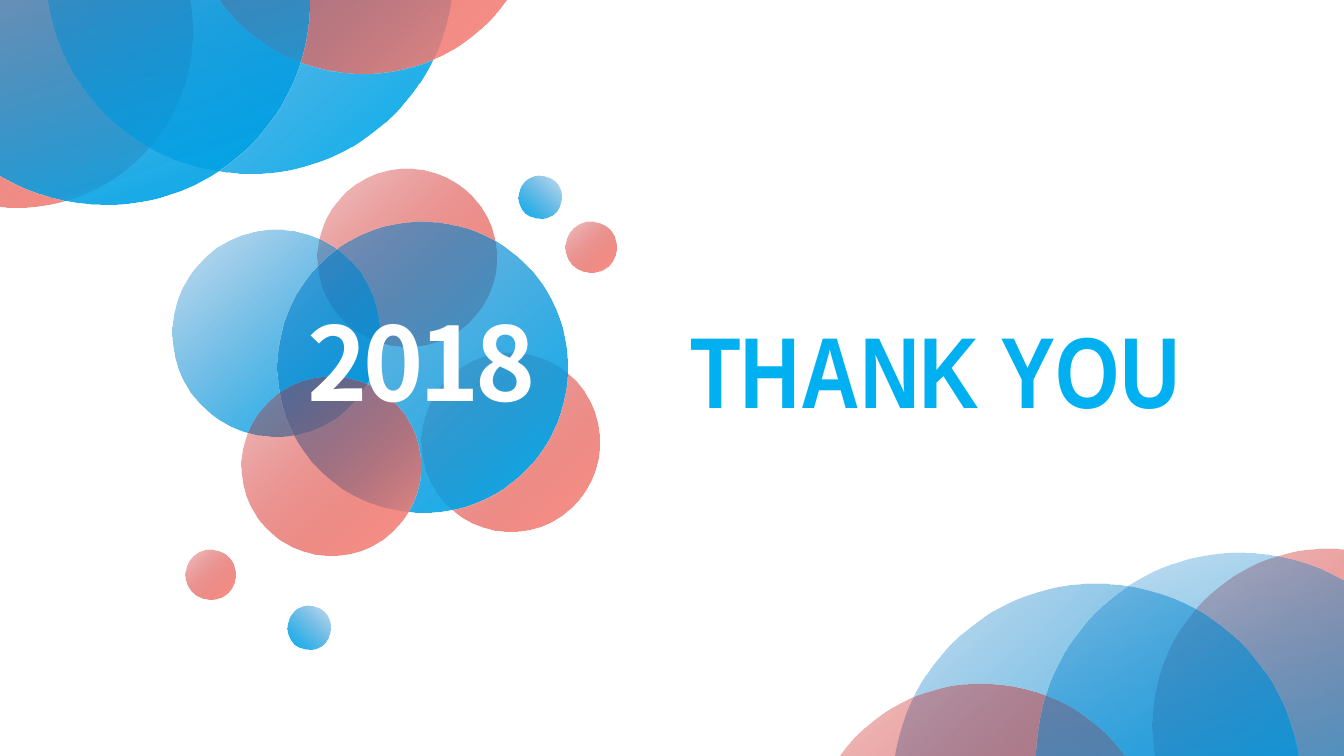
from lxml.etree import SubElement
from pptx import Presentation
from pptx.dml.color import RGBColor
from pptx.enum.shapes import MSO_SHAPE as Preset
from pptx.enum.text import MSO_ANCHOR as Anchor, PP_ALIGN as Align
from pptx.oxml.ns import qn
from pptx.util import Inches, Pt

WHITE = RGBColor(0xFF, 0xFF, 0xFF)
SKY = RGBColor(0x00, 0xB0, 0xF0)
NAVY = RGBColor(0x00, 0x70, 0xC0)
CRIMSON = RGBColor(0xC0, 0x00, 0x00)
CORAL = RGBColor(0xFE, 0x97, 0x8C)

BLUE = (NAVY, SKY)
RED = (CRIMSON, CORAL)

TOP_LEFT_BUBBLES = [
    (-1.59, -1.44, 3.5, RED, 273),
    (0.45, -2.33, 4.05, BLUE, 273),
    (1.85, -2.77, 3.5, RED, 273),
    (-0.98, -2.02, 4.05, BLUE, 296.7),
]
BOTTOM_RIGHT_BUBBLES = [
    (11.43, 5.44, 3.5, RED, 273),
    (8.85, 5.79, 4.05, BLUE, 273),
    (7.99, 6.78, 3.5, RED, 273),
    (10.28, 5.48, 4.05, BLUE, 296.7),
]
BACK_PETALS = [
    (3.15, 1.67, 1.77, RED, 273),
    (4.18, 3.5, 1.77, RED, 273),
    (1.71, 2.28, 2.05, BLUE, 273),
]
FRONT_PETALS = [
    (5.14, 1.74, 0.43, BLUE, 357),
    (5.61, 2.2, 0.5, RED, 273),
    (2.4, 3.74, 1.77, RED, 273),
    (2.85, 6.01, 0.43, BLUE, 357),
    (1.84, 5.45, 0.5, RED, 273),
]


class BubbleSlide:
    def __init__(self, slide):
        self.slide = slide

    def bubble(self, left, top, size, colors, rotation, opacity=22):
        oval = self.slide.shapes.add_shape(
            Preset.OVAL, Inches(left), Inches(top), Inches(size), Inches(size))
        oval.rotation = rotation
        oval.shadow.inherit = False
        oval.line.fill.background()
        oval.fill.gradient()
        oval.fill.gradient_angle = 225
        for stop, position, color in zip(oval.fill.gradient_stops, (0, 1), colors):
            stop.position = position
            stop.color.rgb = color
        first_color = oval.element.spPr.find(".//" + qn("a:srgbClr"))
        SubElement(first_color, qn("a:alpha"), val=str(opacity * 1000))

    def bubbles(self, group):
        for bubble in group:
            self.bubble(*bubble)

    def caption(self, wording, left, top, width, height, font, size, color,
                align=Align.LEFT, line_spacing=1.0, tracking=0):
        box = self.slide.shapes.add_textbox(
            Inches(left), Inches(top), Inches(width), Inches(height))
        frame = box.text_frame
        frame.word_wrap = True
        frame.vertical_anchor = Anchor.MIDDLE
        paragraph = frame.paragraphs[0]
        paragraph.alignment = align
        paragraph.line_spacing = line_spacing
        run = paragraph.add_run()
        run.text = wording
        run.font.name = font
        run.font.size = Pt(size)
        run.font.bold = True
        run.font.color.rgb = color
        properties = run.font._element
        properties.set("spc", str(tracking * 100))
        SubElement(properties, qn("a:ea"), typeface=font)


def main():
    deck = Presentation()
    deck.slide_width = Inches(13.33)
    deck.slide_height = Inches(7.5)
    closing = BubbleSlide(deck.slides.add_slide(deck.slide_layouts[6]))

    closing.bubbles(TOP_LEFT_BUBBLES)
    closing.bubbles(BOTTOM_RIGHT_BUBBLES)
    closing.bubbles(BACK_PETALS)
    closing.bubble(2.75, 2.2, 2.88, BLUE, 273, opacity=44)
    closing.bubbles(FRONT_PETALS)

    closing.caption("2018", 2.77, 2.96, 2.83, 1.38, "Noto Sans CJK SC", 73,
                    WHITE, Align.CENTER, line_spacing=0.9, tracking=-3)
    closing.caption("THANK YOU", 6.75, 3, 5.93, 1.31, "Arial Narrow", 72, SKY)

    deck.save("out.pptx")


if __name__ == "__main__":
    main()
